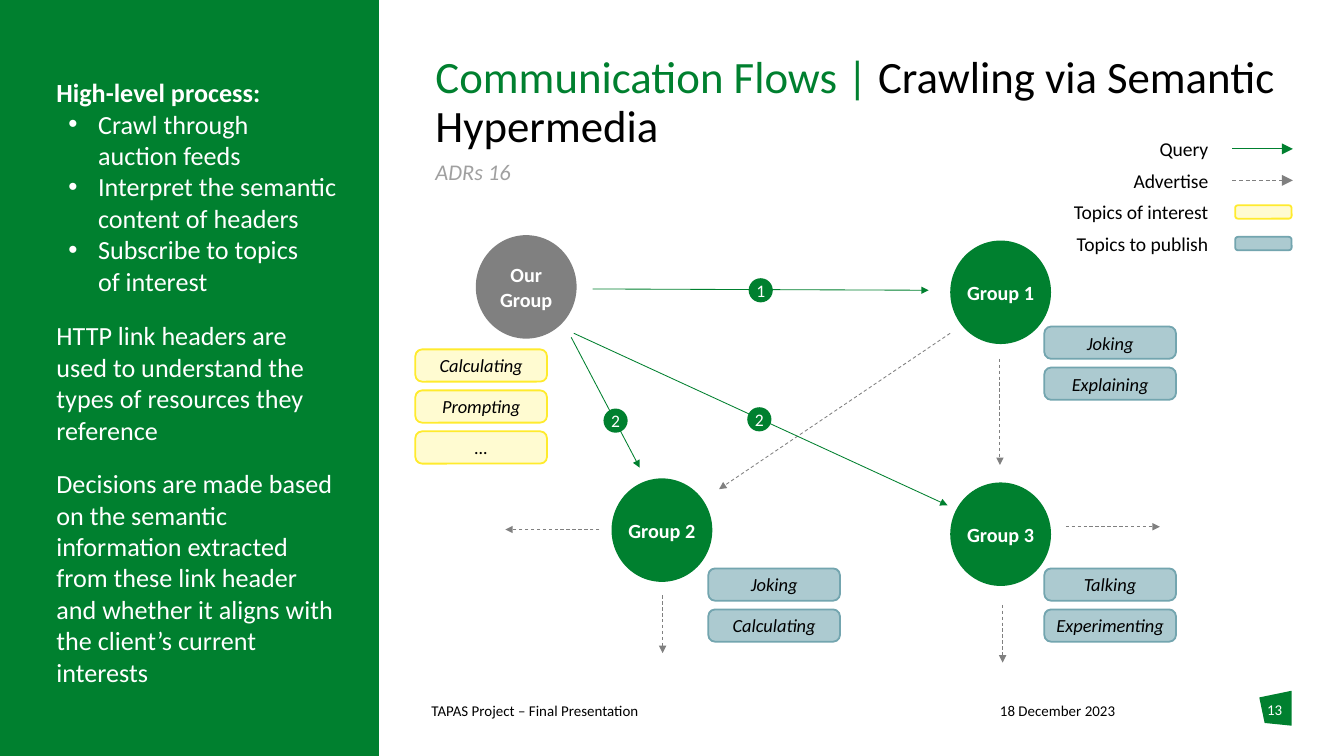
from dataclasses import dataclass

from pptx import Presentation
from pptx import util as u
from pptx.dml.color import RGBColor
from pptx.enum import dml, shapes, text
from pptx.oxml.ns import qn
from lxml import etree

SHAPE = shapes.MSO_SHAPE
ALIGN = text.PP_ALIGN
MID = text.MSO_ANCHOR.MIDDLE
TOP = text.MSO_ANCHOR.TOP


@dataclass(frozen=True)
class Theme:
    face: str = "Calibri"
    green: str = "00802F"
    gray: str = "808080"
    pale: str = "A0A0A0"
    black: str = "000000"
    white: str = "FFFFFF"
    want: tuple = ("FFFBD1", "FFEB2D")  # fill and line of topics of interest
    give: tuple = ("ACCAD0", "73A5AF")  # fill and line of topics to publish
    title: float = 24
    body: float = 14
    sub: float = 12
    key: float = 10.5
    node: float = 10.8
    tag: float = 9.9
    badge: float = 9.4
    foot: float = 8


T = Theme()


def rgb(code):
    return RGBColor.from_string(code)


def style(run, size, color, bold=False, italic=False):
    font = run.font
    font.name, font.size = T.face, u.Pt(size)
    font.bold, font.italic = bold, italic
    font.color.rgb = rgb(color)


def write(shape, words, size, color, align=ALIGN.LEFT, anchor=MID, **look):
    frame = shape.text_frame
    frame.word_wrap = True
    frame.vertical_anchor = anchor
    frame.margin_left = frame.margin_right = 0
    frame.margin_top = frame.margin_bottom = 0
    frame.text = words
    for para in frame.paragraphs:
        para.alignment = align
        for run in para.runs:
            style(run, size, color, **look)
    return frame


def label(slide, box, words, size, color, anchor=TOP, **look):
    area = slide.shapes.add_textbox(*map(u.Inches, box))
    return write(area, words, size, color, anchor=anchor, **look)


def paint(shape, fill, line=None):
    shape.shadow.inherit = False
    shape.fill.solid()
    shape.fill.fore_color.rgb = rgb(fill)
    if line:
        shape.line.color.rgb = rgb(line)
        shape.line.width = u.Pt(0.95)
    else:
        shape.line.fill.background()


def block(slide, kind, box, fill, line=None):
    shape = slide.shapes.add_shape(kind, *map(u.Inches, box))
    paint(shape, fill, line)
    if kind == SHAPE.ROUNDED_RECTANGLE:
        shape.adjustments[0] = 0.21
    return shape


def arrow(slide, x1, y1, x2, y2, query, width=0.45, head="sm"):
    link = slide.shapes.add_connector(
        shapes.MSO_CONNECTOR.STRAIGHT, *map(u.Inches, (x1, y1, x2, y2)))
    link.line.width = u.Pt(width)
    link.line.color.rgb = rgb(T.green if query else T.gray)
    if not query:
        link.line.dash_style = dml.MSO_LINE.DASH
    props = link._element.spPr
    etree.SubElement(props.find(qn("a:ln")), qn("a:tailEnd"),
                     type="triangle", w=head, len=head)
    etree.SubElement(props, qn("a:effectLst"))


def panel(slide, box):
    x, y, w, h = box
    block(slide, SHAPE.RECTANGLE, box, T.green)
    steps = ("High-level process:\nCrawl through auction\u00a0feeds\n"
             "Interpret the semantic content of headers\n"
             "Subscribe to topics \vof interest")
    notes = (
        (0.57, 1.65, steps),
        (2.38, 0.94, "HTTP link headers are used to understand the types of "
                     "resources they reference"),
        (3.48, 1.41, "Decisions are made based on the semantic information "
                     "extracted from these link header and whether it aligns "
                     "with the client’s current interests"),
    )
    frames = [label(slide, (x + 0.42, y + top, 2.13, tall), words,
                    T.body, T.white) for top, tall, words in notes]
    head, *items = frames[0].paragraphs
    head.runs[0].font.bold = True
    for item in items:
        props = item._p.get_or_add_pPr()
        props.set("marL", str(u.Inches(0.31)))
        props.set("indent", str(u.Inches(-0.22)))
        etree.SubElement(props, qn("a:buFont"), typeface="Arial")
        etree.SubElement(props, qn("a:buChar"), char="•")


def header(slide, box):
    x, y, w, h = box
    frame = label(slide, (x, y, w, 0.67), "Communication Flows | ",
                  T.title, T.green)
    para = frame.paragraphs[0]
    para.line_spacing = 0.9
    run = para.add_run()
    run.text = "Crawling via Semantic Hypermedia"
    style(run, T.title, T.black)
    label(slide, (x, y + 0.76, 1.61, 0.21), "ADRs 16", T.sub, T.pale,
          anchor=MID, italic=True)


def legend(slide, box):
    x, y, w, h = box
    names = ("Query", "Advertise", "Topics of interest", "Topics to publish")
    step = h / len(names)
    for i, name in enumerate(names):
        mid = y + step * (i + 0.5)
        label(slide, (x, mid - step / 2, 1.4, step), name, T.key, T.black,
              anchor=MID, align=ALIGN.RIGHT)
        if i < 2:
            arrow(slide, x + w - 0.45, mid, x + w, mid, i == 0, 0.5, "med")
        else:
            block(slide, SHAPE.ROUNDED_RECTANGLE,
                  (x + w - 0.43, mid - 0.05, 0.42, 0.1),
                  *(T.want if i == 2 else T.give))


def tags(slide, x, y, names, look):
    for i, name in enumerate(names):
        box = (x, y + 0.305 * i, 0.98, 0.24)
        shape = block(slide, SHAPE.ROUNDED_RECTANGLE, box, *look)
        write(shape, name, T.tag, T.black, ALIGN.CENTER, italic=True)


def flow(slide, box):
    x, y, w, h = box
    # Arrows: advertise, then query
    adverts = ((1.37, 2.19, 0.67, 2.19), (1.84, 2.68, 1.84, 3.11),
               (4.37, 2.75, 4.37, 3.18), (4.84, 2.17, 5.54, 2.17),
               (3.98, 0.73, 2.26, 1.89), (4.35, 0.92, 4.35, 1.71))
    queries = ((1.32, 0.4, 3.82, 0.41), (1.18, 0.73, 3.96, 2.01),
               (1.16, 0.76, 1.67, 1.73))
    for query, ends in ((False, adverts), (True, queries)):
        for x1, y1, x2, y2 in ends:
            arrow(slide, x + x1, y + y1, x + x2, y + y2, query)
    # Groups with their topics: circle place, topic place
    groups = (
        ("Our Group", T.gray, 0.45, 0, 0, 0.85, T.want,
         ("Calculating", "Prompting", "…")),
        ("Group 1", T.green, 3.98, 0.04, 4.68, 0.68, T.give,
         ("Joking", "Explaining")),
        ("Group 2", T.green, 1.46, 1.81, 2.18, 2.48, T.give,
         ("Joking", "Calculating")),
        ("Group 3", T.green, 3.98, 1.84, 4.68, 2.48, T.give,
         ("Talking", "Experimenting")),
    )
    for name, fill, left, top, tx, ty, look, topics in groups:
        node = block(slide, SHAPE.OVAL, (x + left, y + top, 0.75, 0.77), fill)
        write(node, name, T.node, T.white, ALIGN.CENTER, bold=True)
        tags(slide, x + tx, y + ty, topics, look)
    # Step numbers on the queries
    for mark, left, top in (("1", 2.48, 0.32), ("2", 2.47, 1.28),
                            ("2", 1.4, 1.29)):
        dot = block(slide, SHAPE.OVAL, (x + left, y + top, 0.18, 0.18), T.green)
        write(dot, mark, T.badge, T.white, ALIGN.CENTER)


def footer(slide, box):
    x, y, w, h = box
    label(slide, (x, y + 0.08, 2.48, 0.2), "TAPAS Project – Final Presentation",
          T.foot, T.black)
    label(slide, (x + 4.23, y + 0.08, 1.29, 0.2), "18 December 2023",
          T.foot, T.black)
    left = x + w - 0.24
    points = [(u.Inches(left + dx), u.Inches(y + dy)) for dx, dy in
              ((0, 0.05), (0.24, 0), (0.24, 0.26), (0.04, 0.24))]
    path = slide.shapes.build_freeform(*points[0])
    path.add_line_segments(points[1:], close=True)
    paint(path.convert_to_shape(), T.green)
    label(slide, (left, y + 0.07, 0.23, 0.3), "13", T.foot, T.white,
          align=ALIGN.CENTER)


def main():
    deck = Presentation()
    wide = 10
    tall = wide * 9 / 16
    deck.slide_width, deck.slide_height = u.Inches(wide), u.Inches(tall)
    slide = deck.slides.add_slide(deck.slide_layouts[6])
    panel(slide, (0, 0, 2.82, tall))
    header(slide, (3.24, 0.41, 6.37, 0.97))
    legend(slide, (7.59, 0.99, 2.03, 0.94))
    flow(slide, (3.09, 1.75, 5.66, 3.18))
    footer(slide, (3.21, 5.14, 6.4, 0.26))
    deck.save("out.pptx")


if __name__ == "__main__":
    main()
